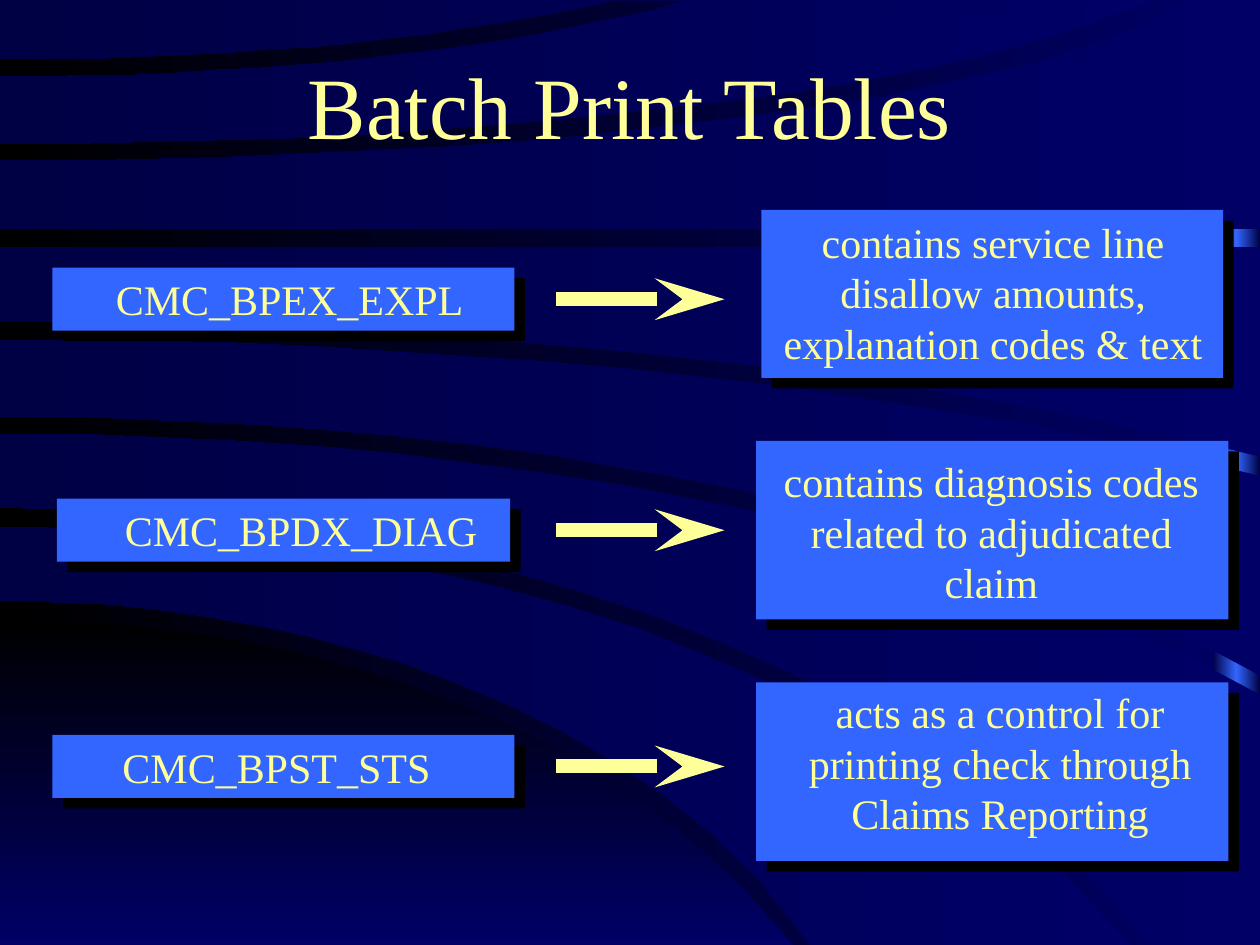
from copy import deepcopy
from dataclasses import dataclass
from math import sqrt

from lxml import etree
from pptx import Presentation
from pptx.dml.color import RGBColor
from pptx.enum.shapes import MSO_CONNECTOR, MSO_SHAPE
from pptx.enum.text import MSO_ANCHOR, MSO_AUTO_SIZE, PP_ALIGN
from pptx.oxml.ns import qn
from pptx.util import Pt

RECTANGLE = MSO_SHAPE.RECTANGLE
STRAIGHT = MSO_CONNECTOR.STRAIGHT
CENTER = PP_ALIGN.CENTER
MIDDLE = MSO_ANCHOR.MIDDLE
TOP = MSO_ANCHOR.TOP
NO_AUTOFIT = MSO_AUTO_SIZE.NONE


@dataclass(frozen=True)
class Theme:
    font: str = "Times New Roman"
    title_size: float = 50
    body_size: float = 24
    line_height: float = 1.2
    text: str = "FFFF99"
    box: str = "3366FF"
    navy: str = "000066"
    dark_navy: str = "000044"
    black: str = "000000"
    arrow_width: float = 8
    box_shadow: float = 8.5
    title_shadow: float = 2


THEME = Theme()
WIDTH, HEIGHT = 720, 540
EDGE_STRIP = 27
CURVE_STEPS = 16
ARROW_LEFT, ARROW_RIGHT = 318, 414
LABEL_CENTER, LABEL_HEIGHT = 162, 36
DESCRIPTION_CENTER = 567

# Quarter ellipses from the left border: start height, reach, drop.
GLOW = (354, 505, 334)
BANDS = [
    ((301, 720, 427), (343, 505, 328)),
    ((248, 850, 319), (290, 720, 424)),
    ((194, 1000, 256), (238, 850, 315)),
    ((141, WIDTH, 0), (184, 1000, 253)),
    ((92, 700, -121), (131, WIDTH, 0)),
    ((44, 500, -115), (82, 700, -124)),
    ((0, WIDTH, 0), (34, 480, -106)),
]

# Arrow height; label: text, width, text shift;
# description: text, top, width, height, text shift right and down.
ROWS = [
    (171, ("CMC_BPEX_EXPL", 264, 3.5),
     ("contains service line disallow amounts, explanation codes & text",
      120, 264, 96, 0.5, 0)),
    (303, ("CMC_BPDX_DIAG", 259, 10),
     ("contains diagnosis codes related to adjudicated claim",
      252, 270, 102, -0.5, 5)),
    (438, ("CMC_BPST_STS", 264, -4),
     ("acts as a control for printing check through Claims Reporting",
      390, 270, 102, 4.5, -1)),
]


def color(value):
    return RGBColor.from_string(value)


def in_points(area):
    return [Pt(length) for length in area]


def paint_gradient(fill, colors, angle=180):
    """Spread the colours evenly; the angle runs counter-clockwise."""
    fill.gradient()
    fill.gradient_angle = angle
    first = fill.gradient_stops[0]._gs
    for _ in colors[2:]:
        first.addnext(deepcopy(first))
    for index, (stop, value) in enumerate(zip(fill.gradient_stops, colors)):
        stop.color.rgb = color(value)
        stop.position = index / (len(colors) - 1)


def make_shadow(distance):
    """Return an effect list with a sharp black shadow to the lower right."""
    effects = etree.Element(qn("a:effectLst"))
    shadow = etree.SubElement(effects, qn("a:outerShdw"), blurRad="0",
                              dist=str(Pt(distance)), dir="2700000",
                              algn="ctr", rotWithShape="0")
    etree.SubElement(shadow, qn("a:srgbClr"), val=THEME.black)
    return effects


def trace_curve(start, reach, drop):
    """Return points along a quarter ellipse, cut off at the slide border."""
    room = HEIGHT - start if drop >= 0 else start
    end = min(reach, WIDTH)
    if abs(drop) > room:
        end = min(end, reach * sqrt(1 - (1 - room / abs(drop)) ** 2))
    xs = [end * step / CURVE_STEPS for step in range(CURVE_STEPS + 1)]
    return [(x, start + drop * (1 - sqrt(1 - (x / reach) ** 2))) for x in xs]


def trace_band(upper, lower):
    """Join two curves, passing the slide corner if it lies between them."""
    top, bottom = trace_curve(*upper), trace_curve(*lower)
    nearer, farther = sorted((top[-1], bottom[-1]))
    corner = []
    if nearer[0] < WIDTH == farther[0]:
        corner = [(WIDTH, nearer[1])]
    return top + corner + bottom[::-1]


def add_curved_area(slide, points, colors, angle=180):
    builder = slide.shapes.build_freeform(*points[0], scale=Pt(1))
    builder.add_line_segments(points[1:], close=True)
    shape = builder.convert_to_shape()
    shape.shadow.inherit = False
    shape.line.fill.background()
    paint_gradient(shape.fill, colors, angle)


def add_background(slide):
    paint_gradient(slide.background.fill, [THEME.navy, THEME.black])
    strip = slide.shapes.add_shape(
        RECTANGLE, *in_points((WIDTH - EDGE_STRIP, 0, EDGE_STRIP, HEIGHT)))
    strip.shadow.inherit = False
    strip.line.fill.background()
    paint_gradient(strip.fill, [THEME.dark_navy, THEME.box, THEME.dark_navy])
    add_curved_area(slide, trace_curve(*GLOW) + [(0, HEIGHT)],
                    [THEME.black, THEME.navy], angle=270)
    for upper, lower in BANDS:
        add_curved_area(slide, trace_band(upper, lower),
                        [THEME.navy, THEME.dark_navy])


def write_text(shape, text, size, anchor=TOP):
    frame = shape.text_frame
    frame.text = text
    frame.word_wrap = True
    frame.auto_size = NO_AUTOFIT
    frame.vertical_anchor = anchor
    paragraph = frame.paragraphs[0]
    paragraph.alignment = CENTER
    paragraph.line_spacing = Pt(size * THEME.line_height)
    font = paragraph.runs[0].font
    font.size = Pt(size)
    font.name = THEME.font
    font.color.rgb = color(THEME.text)


def set_title(slide, text):
    title = slide.shapes.title
    slide.shapes._spTree.append(title._element)  # in front of the background
    title.left, title.top, title.width, title.height = in_points(
        (114, 24, 492, 72))
    write_text(title, text, THEME.title_size, MIDDLE)
    properties = title.text_frame.paragraphs[0].runs[0]._r.rPr
    properties.find(qn("a:latin")).addprevious(
        make_shadow(THEME.title_shadow))


def add_box(slide, text, center, top, width, height, shift_x, shift_y=0):
    """Add a shadowed box and its text, shifted from the box centre."""
    left = center - width / 2
    box = slide.shapes.add_shape(
        RECTANGLE, *in_points((left, top, width, height)))
    box.fill.solid()
    box.fill.fore_color.rgb = color(THEME.box)
    box.line.fill.background()
    box._element.spPr.append(make_shadow(THEME.box_shadow))
    caption = slide.shapes.add_textbox(
        *in_points((left + shift_x, top + shift_y, width, height)))
    write_text(caption, text, THEME.body_size)


def add_arrow(slide, y):
    arrow = slide.shapes.add_connector(
        STRAIGHT, *in_points((ARROW_LEFT, y, ARROW_RIGHT, y)))
    arrow.line.width = Pt(THEME.arrow_width)
    arrow.line.color.rgb = color(THEME.text)
    etree.SubElement(arrow.line._get_or_add_ln(), qn("a:tailEnd"),
                     type="stealth", w="med", len="lg")
    etree.SubElement(arrow._element.spPr, qn("a:effectLst"))


def main():
    presentation = Presentation()
    presentation.slide_width, presentation.slide_height = Pt(WIDTH), Pt(HEIGHT)
    slide = presentation.slides.add_slide(presentation.slide_layouts[5])
    add_background(slide)
    set_title(slide, "Batch Print Tables")
    for y, (label, label_width, label_shift), (text, *area) in ROWS:
        add_box(slide, label, LABEL_CENTER, y - LABEL_HEIGHT / 2,
                label_width, LABEL_HEIGHT, label_shift)
        add_arrow(slide, y)
        add_box(slide, text, DESCRIPTION_CENTER, *area)
    presentation.save("out.pptx")


if __name__ == "__main__":
    main()
